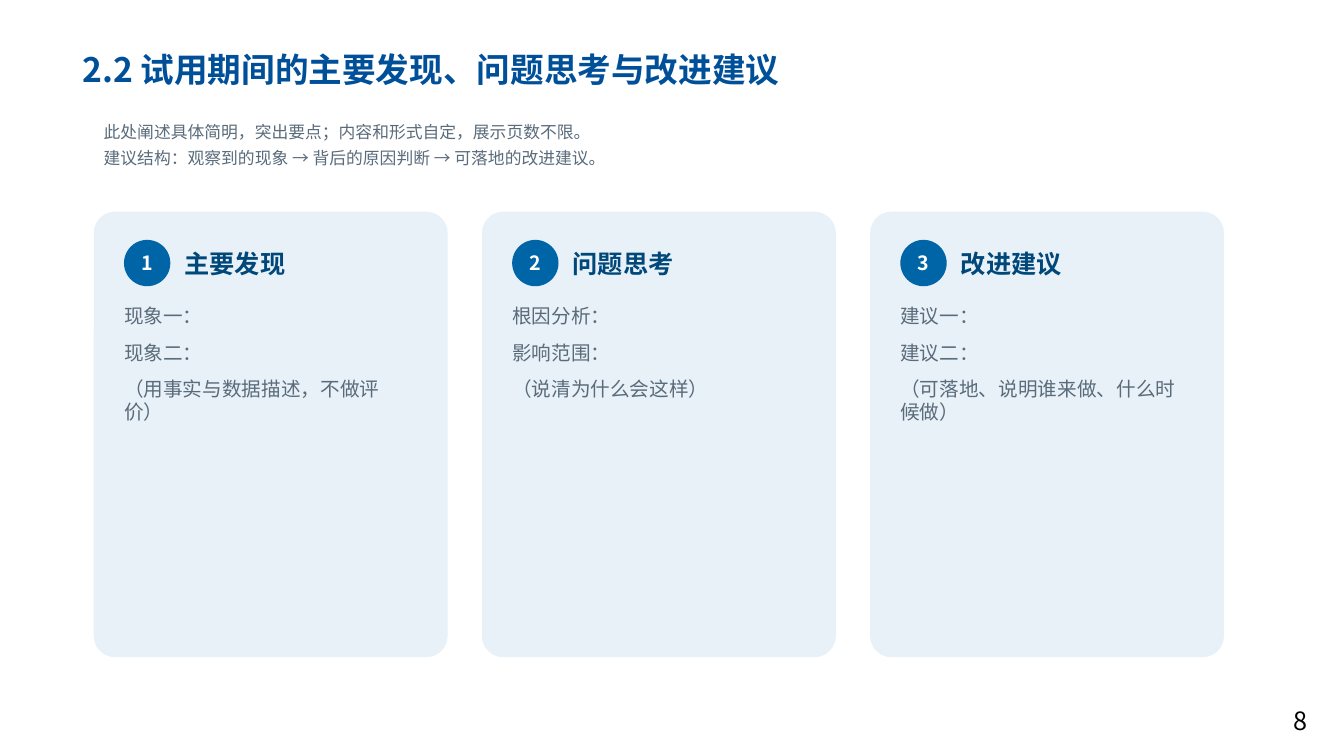
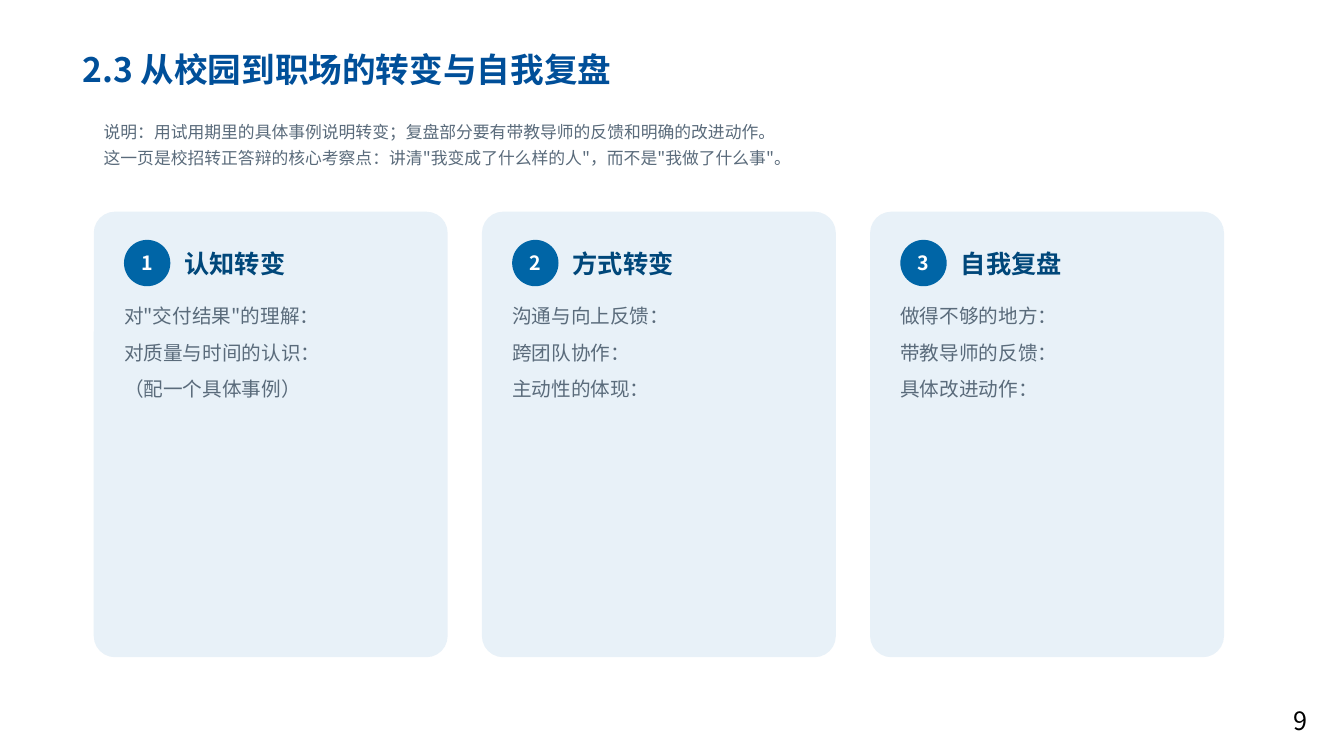
from lxml import etree
from pptx import Presentation
from pptx.dml.color import RGBColor
from pptx.enum.shapes import MSO_SHAPE as Shape
from pptx.enum.text import MSO_ANCHOR as Anchor, PP_ALIGN as Align
from pptx.oxml.ns import qn
from pptx.util import Inches, Pt

FONT = "Noto Sans CJK SC"
TITLE_BLUE, HEADING_BLUE, BADGE_BLUE = "004F99", "00477A", "0065A6"
GREY, PANEL, WHITE, BLACK = "5A6B7B", "E8F1F8", "FFFFFF", "000000"

CARD_LEFT, CARD_TOP, CARD_WIDTH, CARD_HEIGHT = 0.93, 2.1, 3.51, 4.42
CARD_STEP = 3.85
PADDING, BADGE = 0.3, 0.46

PAGES = [
    (8, "2.2 试用期间的主要发现、问题思考与改进建议",
     ["此处阐述具体简明，突出要点；内容和形式自定，展示页数不限。",
      "建议结构：观察到的现象 → 背后的原因判断 → 可落地的改进建议。"],
     [("主要发现", ["现象一：", "现象二：", "（用事实与数据描述，不做评价）"]),
      ("问题思考", ["根因分析：", "影响范围：", "（说清为什么会这样）"]),
      ("改进建议", ["建议一：", "建议二：", "（可落地、说明谁来做、什么时候做）"])]),
    (9, "2.3 从校园到职场的转变与自我复盘",
     ["说明：用试用期里的具体事例说明转变；复盘部分要有带教导师的反馈和明确的改进动作。",
      '这一页是校招转正答辩的核心考察点：讲清"我变成了什么样的人"，而不是"我做了什么事"。'],
     [("认知转变", ['对"交付结果"的理解：', "对质量与时间的认识：", "（配一个具体事例）"]),
      ("方式转变", ["沟通与向上反馈：", "跨团队协作：", "主动性的体现："]),
      ("自我复盘", ["做得不够的地方：", "带教导师的反馈：", "具体改进动作："])]),
]


def color(hex_text):
    return RGBColor.from_string(hex_text)


class Deck:
    """Holds the presentation, its style and the current slide."""

    def __init__(self):
        self.prs = Presentation()
        self.prs.slide_width, self.prs.slide_height = Inches(13.33), Inches(7.5)
        self.slide = None

    def new_slide(self):
        self.slide = self.prs.slides.add_slide(self.prs.slide_layouts[6])
        fill = self.slide.background.fill
        fill.solid()
        fill.fore_color.rgb = color(WHITE)

    def fill_frame(self, frame, lines, size, ink, bold=False, align=Align.LEFT,
                   anchor=Anchor.TOP, gap=0, spacing=None, inset=True):
        """Fill a text frame, one paragraph a line, with gap points between."""
        frame.word_wrap = True
        frame.vertical_anchor = anchor
        if not inset:
            frame.margin_left = frame.margin_right = 0
            frame.margin_top = frame.margin_bottom = 0
        frame.text = "\n".join(lines)
        for index, paragraph in enumerate(frame.paragraphs):
            paragraph.alignment = align
            if spacing:
                paragraph.line_spacing = spacing
            if index and gap:
                paragraph.space_before = Pt(gap)
            for run in paragraph.runs:
                font = run.font
                font.name, font.size, font.bold = FONT, Pt(size), bold
                font.color.rgb = color(ink)
                east_asian = etree.Element(qn("a:ea"), typeface=FONT)
                run._r.get_or_add_rPr().find(qn("a:latin")).addnext(east_asian)

    def text(self, left, top, width, height, lines, size, ink, **style):
        box = self.slide.shapes.add_textbox(
            Inches(left), Inches(top), Inches(width), Inches(height))
        self.fill_frame(box.text_frame, lines, size, ink, **style)

    def shape(self, kind, left, top, width, height, fill):
        shape = self.slide.shapes.add_shape(
            kind, Inches(left), Inches(top), Inches(width), Inches(height))
        shape.shadow.inherit = False
        shape.fill.solid()
        shape.fill.fore_color.rgb = color(fill)
        shape.line.fill.background()
        return shape

    def header(self, title, guidance):
        self.text(0.72, 0.43, 7.71, 0.57, [title], 24, TITLE_BLUE, bold=True,
                  anchor=Anchor.MIDDLE, spacing=0.9)
        self.text(CARD_LEFT, 1.16, 11.21, 0.72, guidance, 12, GREY, gap=4)

    def page_number(self, number):
        self.text(10.07, 6.95, 3, 0.4, [str(number)], 18, BLACK, align=Align.RIGHT)

    def card(self, index, heading, prompts):
        left = CARD_LEFT + index * CARD_STEP
        inner, top = left + PADDING, CARD_TOP + 0.28
        panel = self.shape(Shape.ROUNDED_RECTANGLE, left, CARD_TOP,
                           CARD_WIDTH, CARD_HEIGHT, PANEL)
        panel.adjustments[0] = 0.06
        badge = self.shape(Shape.OVAL, inner, top, BADGE, BADGE, BADGE_BLUE)
        self.fill_frame(badge.text_frame, [str(index + 1)], 14, WHITE, bold=True,
                        align=Align.CENTER, anchor=Anchor.MIDDLE, inset=False)
        self.text(inner + 0.6, top, 2.31, BADGE, [heading], 18, HEADING_BLUE,
                  bold=True, anchor=Anchor.MIDDLE, inset=False)
        self.text(inner, CARD_TOP + 0.92, CARD_WIDTH - 2 * PADDING, 3.2, prompts,
                  14, GREY, gap=9, inset=False)


def main():
    deck = Deck()
    for number, title, guidance, cards in PAGES:
        deck.new_slide()
        deck.page_number(number)
        deck.header(title, guidance)
        for index, (heading, prompts) in enumerate(cards):
            deck.card(index, heading, prompts)
    deck.prs.save("out.pptx")


if __name__ == "__main__":
    main()
